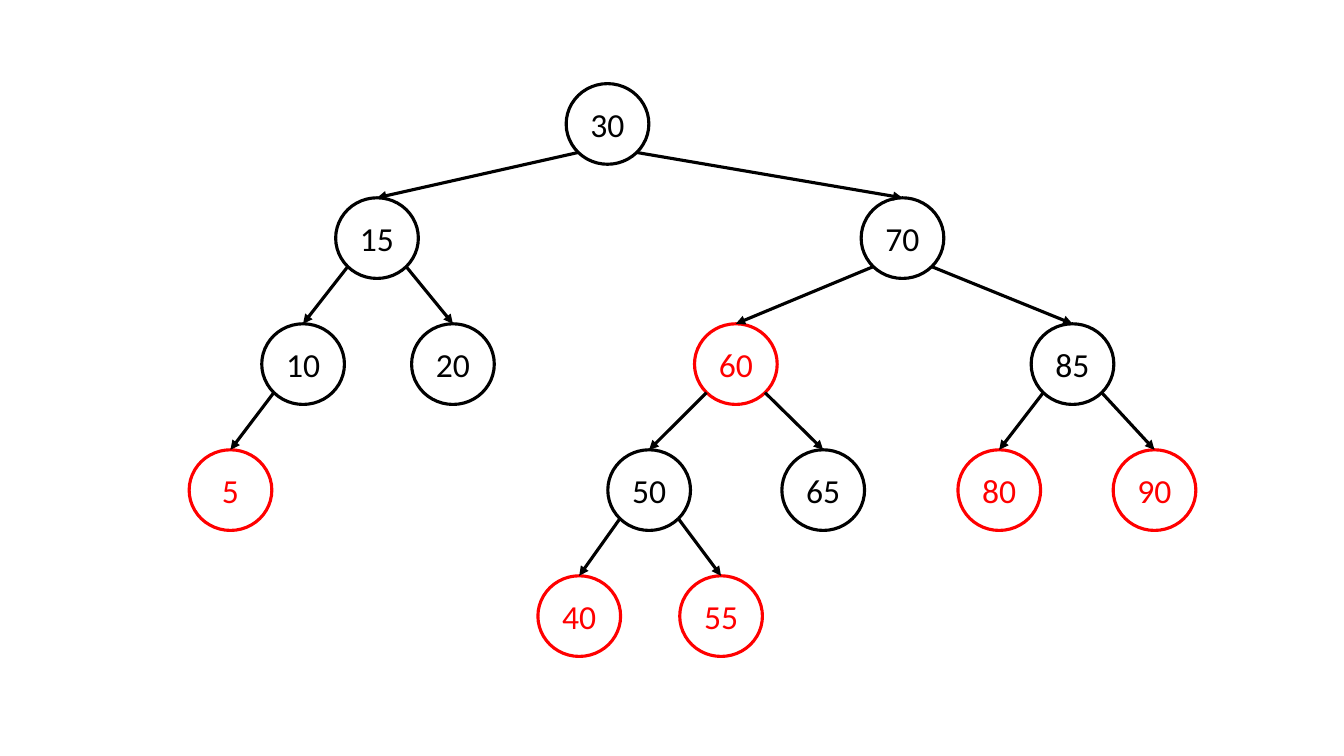
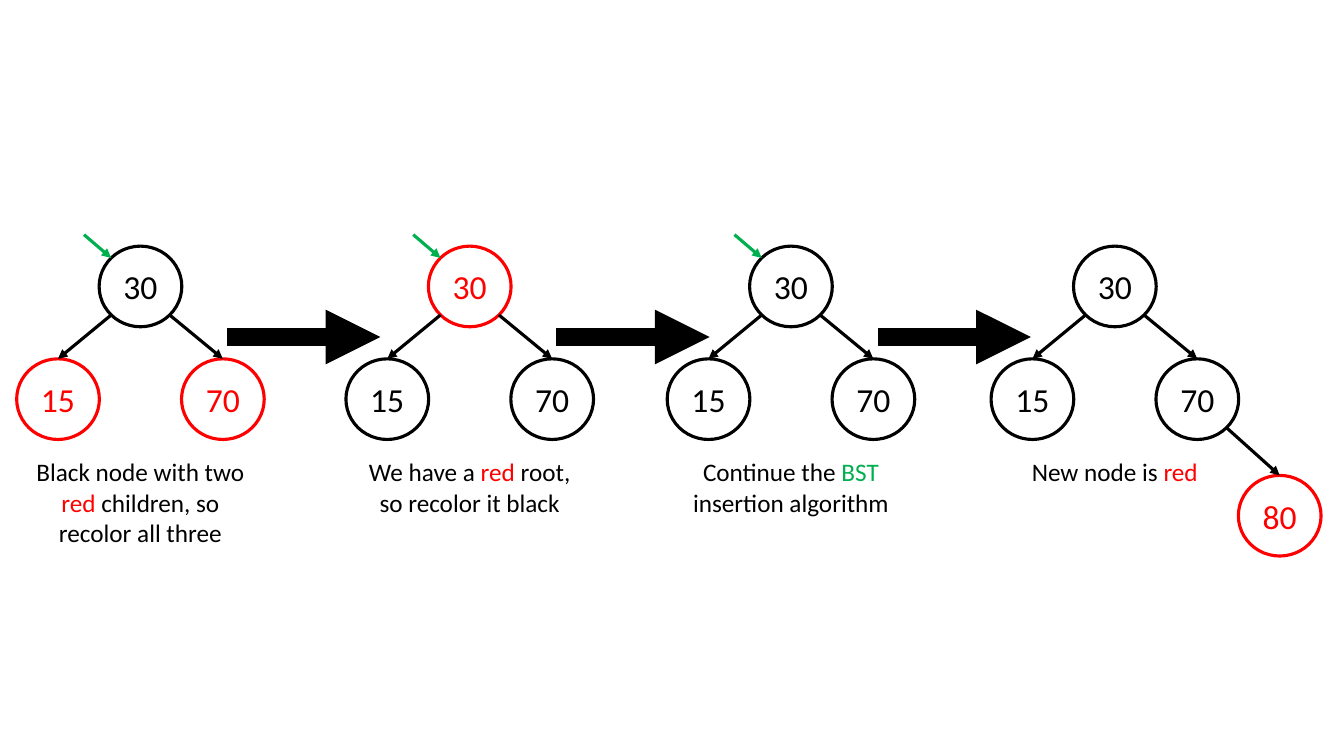
from math import sqrt

from pptx import Presentation
from pptx.dml.color import RGBColor
from pptx.enum import shapes, text
from pptx.oxml.ns import qn
from pptx import util as u

BLACK = RGBColor(0, 0, 0)
RED = RGBColor(0xFF, 0, 0)
GREEN = RGBColor(0, 0xB0, 0x50)
FONT = "Calibri"
WIDE, HIGH = u.Inches(13.33), u.Inches(7.5)
NODE_W, NODE_H = u.Inches(0.82), u.Inches(0.8)
THIN, THICK = 2.25, 13

# key, column, level, colour, parent
BIG = [
    (30, 45.2, 0, BLACK, None), (15, 28.05, 1, BLACK, 30),
    (70, 67.15, 1, BLACK, 30), (10, 22.55, 2, BLACK, 15),
    (20, 33.7, 2, BLACK, 15), (60, 54.75, 2, RED, 70),
    (85, 79.8, 2, BLACK, 70), (65, 61.25, 3, BLACK, 60),
    (50, 48.3, 3, BLACK, 60), (90, 85.9, 3, RED, 85),
    (80, 74.35, 3, RED, 85), (55, 53.65, 4, RED, 50),
    (40, 43.1, 4, RED, 50), (5, 17.15, 3, RED, 10),
]
BIG_ROWS = [0.16, 0.32, 0.48, 0.65, 0.81]
BIG_ROWS = [0.164] + [0.315 + n / 6 for n in range(4)]
STEP_ROWS = [0.21, 0.79, 1.39]
STEPS = [
    (1.25, BLACK, RED, 3, [("Black node with two ", BLACK), ("red", RED),
                           (" children, so recolor all three", BLACK)]),
    (25.75, RED, BLACK, 2, [("We have a ", BLACK), ("red", RED),
                            (" root, so recolor it black", BLACK)]),
    (49.65, BLACK, BLACK, 2, [("Continue the ", BLACK), ("BST", GREEN),
                              (" insertion algorithm", BLACK)]),
    (73.75, BLACK, BLACK, 1, [("New node is ", BLACK), ("red", RED)]),
]


def style(run, size, color):
    """Set the font of a run."""
    run.font.name, run.font.size = FONT, u.Pt(size)
    run.font.color.rgb = color


def arrow(slide, start, end, color=BLACK, width=THIN):
    """Draw a straight line with a triangle head at its end."""
    line = slide.shapes.add_connector(
        shapes.MSO_CONNECTOR.STRAIGHT, *(int(n) for n in (*start, *end)))
    line.line.color.rgb, line.line.width = color, u.Pt(width)
    props = line.element.spPr
    tip = props.find(qn("a:ln")).makeelement(qn("a:tailEnd"), {"type": "triangle"})
    props.find(qn("a:ln")).append(tip)
    props.append(props.makeelement(qn("a:effectLst"), {}))
    return line


def edge(oval, across, down):
    """Return the diagonal point of an oval on the given side."""
    part = 1 / sqrt(8)
    return (oval.left + oval.width * (0.5 + across * part),
            oval.top + oval.height * (0.5 + down * part))


def node(slide, x, y, key, color):
    """Draw a tree node centred on a point."""
    oval = slide.shapes.add_shape(
        shapes.MSO_SHAPE.OVAL, int(x - NODE_W / 2), int(y - NODE_H / 2),
        NODE_W, NODE_H)
    oval.shadow.inherit = False
    oval.fill.background()
    oval.line.color.rgb, oval.line.width = color, u.Pt(THIN)
    frame = oval.text_frame
    frame.text = str(key)
    frame.vertical_anchor = text.MSO_ANCHOR.MIDDLE
    frame.paragraphs[0].alignment = text.PP_ALIGN.CENTER
    style(frame.paragraphs[0].runs[0], 24, color)
    return oval


def tree(slide, box, cols, rows, items):
    """Draw linked nodes on the columns and levels of a box."""
    left, top, wide, high = box
    made = {}
    for key, col, level, color, parent in items:
        oval = node(slide, left + wide * col / cols, top + high * rows[level],
                    key, color)
        made[key] = oval
        if parent is not None:
            root = made[parent]
            side = 1 if oval.left > root.left else -1
            link = arrow(slide, edge(root, side, 1), (oval.left, oval.top))
            link.end_connect(oval, 0)
    return made


def note(slide, box, lines, parts):
    """Write the coloured caption below a step."""
    left, top, wide, high = box
    area = slide.shapes.add_textbox(
        int(left), int(top + high * 1.06), int(wide),
        int(high * (0.05 + 0.16 * lines)))
    frame = area.text_frame
    frame.word_wrap = True
    frame.auto_size = text.MSO_AUTO_SIZE.SHAPE_TO_FIT_TEXT
    para = frame.paragraphs[0]
    para.alignment = text.PP_ALIGN.CENTER
    for words, color in parts:
        run = para.add_run()
        run.text = words
        style(run, 18, color)


def step(slide, box, root, kids, lines, parts, last):
    """Draw one step: its tree, pointers and caption."""
    left, top, wide, high = box
    items = [(30, 3, 0, root, None), (15, 1, 1, kids, 30), (70, 5, 1, kids, 30)]
    if last:
        items.append((80, 7, 2, RED, 70))
    made = tree(slide, box, 6, STEP_ROWS, items)
    if not last:
        x, y = edge(made[30], -1, -1)
        arrow(slide, (x - wide * 0.11, y - high * 0.12), (x, y), GREEN)
        mid = top + high * 0.47
        arrow(slide, (left + wide * 0.85, mid), (left + wide * 1.47, mid),
              BLACK, THICK)
    note(slide, box, lines, parts)


def main():
    """Build and save both slides."""
    deck = Presentation()
    deck.slide_width, deck.slide_height = WIDE, HIGH
    blank = deck.slide_layouts[6]
    tree(deck.slides.add_slide(blank), (0, 0, WIDE, HIGH), 100, BIG_ROWS, BIG)
    slide = deck.slides.add_slide(blank)
    for n, (col, root, kids, lines, parts) in enumerate(STEPS):
        box = (WIDE * col / 100, HIGH * 0.325, WIDE * 0.184, HIGH * 0.257)
        step(slide, box, root, kids, lines, parts, n == len(STEPS) - 1)
    deck.save("out.pptx")


if __name__ == "__main__":
    main()
